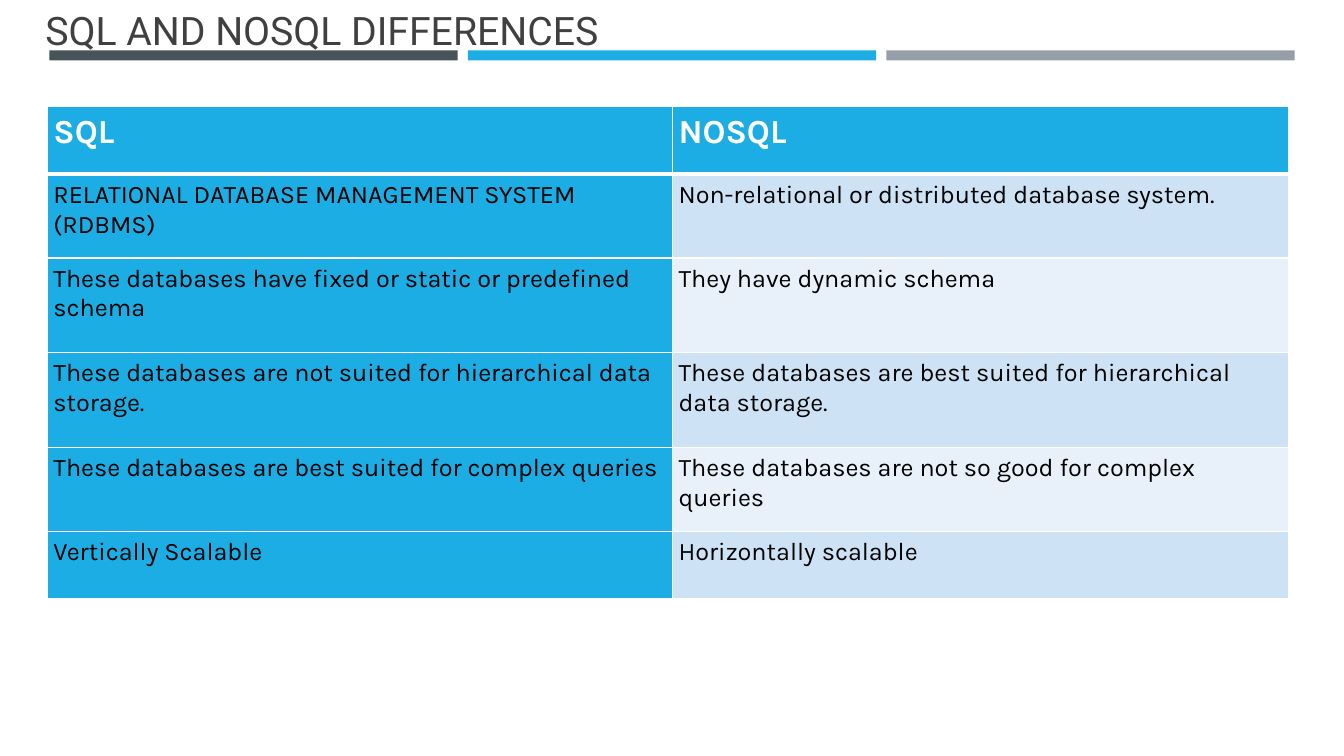
import dataclasses

import lxml.etree
import pptx
import pptx.dml.color
import pptx.enum.shapes
import pptx.enum.text
import pptx.oxml.ns
import pptx.util

Inches = pptx.util.Inches


@dataclasses.dataclass(frozen=True)
class Theme:
    title_font: str = "Roboto"
    table_font: str = "Karla"
    title_size: int = 28
    header_size: int = 24
    body_size: int = 18
    title_color: str = "404040"
    body_color: str = "000000"
    white: str = "FFFFFF"
    slate: str = "465359"
    blue: str = "1CADE4"
    gray: str = "969FA7"
    bands: tuple = ("E8F1FA", "CDE3F5")


THEME = Theme()

COMPARISON = [
    ("SQL", "NOSQL"),
    ("RELATIONAL DATABASE MANAGEMENT SYSTEM (RDBMS)",
     "Non-relational or distributed database system."),
    ("These databases have fixed or static or predefined schema",
     "They have dynamic schema"),
    ("These databases are not suited for hierarchical data storage.",
     "These databases are best suited for hierarchical data storage."),
    ("These databases are best suited for complex queries",
     "These databases are not so good for complex queries"),
    ("Vertically Scalable", "Horizontally scalable"),
]
COLUMN_WIDTHS = (6.2, 6.11)
ROW_HEIGHTS = (0.67, 0.83, 0.94, 0.94, 0.83, 0.67)


def rgb(color):
    return pptx.dml.color.RGBColor.from_string(color)


def style_font(font, name, size, color, bold=False):
    font.name = name
    font.size = pptx.util.Pt(size)
    font.color.rgb = rgb(color)
    font.bold = bold


def add_bars(page):
    """Three equal accent bars, evenly spaced across the top."""
    left, width, gap = 0.49, 4.05, 0.1
    for index, color in enumerate((THEME.slate, THEME.blue, THEME.gray)):
        bar = page.shapes.add_shape(
            pptx.enum.shapes.MSO_SHAPE.RECTANGLE,
            Inches(left + index * (width + gap)), Inches(0.5),
            Inches(width), Inches(0.1))
        bar.shadow.inherit = False
        bar.fill.solid()
        bar.fill.fore_color.rgb = rgb(color)
        bar.line.fill.background()


def fill_title(page, text):
    title = page.shapes.title
    title.left, title.top = Inches(0.35), Inches(-0.2)
    title.width, title.height = Inches(12.06), Inches(0.78)
    frame = title.text_frame
    frame.text = text
    frame.auto_size = pptx.enum.text.MSO_AUTO_SIZE.NONE
    frame.vertical_anchor = pptx.enum.text.MSO_ANCHOR.BOTTOM
    para = frame.paragraphs[0]
    para.alignment = pptx.enum.text.PP_ALIGN.LEFT
    style_font(para.font, THEME.title_font, THEME.title_size, THEME.title_color)


def add_borders(cell, top, bottom):
    """White cell borders; widths in points."""
    properties = cell._tc.get_or_add_tcPr()
    qn = pptx.oxml.ns.qn
    for side, points in (("L", 1), ("R", 1), ("T", top), ("B", bottom)):
        line = lxml.etree.SubElement(
            properties, qn(f"a:ln{side}"), w=str(pptx.util.Pt(points)))
        fill = lxml.etree.SubElement(line, qn("a:solidFill"))
        lxml.etree.SubElement(fill, qn("a:srgbClr"), val=THEME.white)


def fill_cell(cell, text, row, column):
    header = row == 0
    add_borders(cell, top=3 if row == 1 else 1, bottom=3 if header else 1)
    cell.fill.solid()
    cell.fill.fore_color.rgb = rgb(
        THEME.blue if header or column == 0 else THEME.bands[row % 2])
    cell.margin_left = cell.margin_right = Inches(0.06)
    cell.margin_top = cell.margin_bottom = Inches(0.06)
    cell.text = text
    style_font(cell.text_frame.paragraphs[0].font, THEME.table_font,
               THEME.header_size if header else THEME.body_size,
               THEME.white if header else THEME.body_color, header)


def add_comparison(page):
    table = page.shapes.add_table(
        len(ROW_HEIGHTS), len(COLUMN_WIDTHS), Inches(0.47), Inches(1.06),
        Inches(sum(COLUMN_WIDTHS)), Inches(sum(ROW_HEIGHTS))).table
    for column, width in zip(table.columns, COLUMN_WIDTHS):
        column.width = Inches(width)
    for row, height in zip(table.rows, ROW_HEIGHTS):
        row.height = Inches(height)
    for row, texts in enumerate(COMPARISON):
        for column, text in enumerate(texts):
            fill_cell(table.cell(row, column), text, row, column)


def main():
    deck = pptx.Presentation()
    deck.slide_width, deck.slide_height = Inches(13.33), Inches(7.5)
    # Title-only layout
    page = deck.slides.add_slide(deck.slide_layouts[5])
    add_bars(page)
    fill_title(page, "SQL AND NOSQL DIFFERENCES")
    add_comparison(page)
    deck.save("out.pptx")


if __name__ == "__main__":
    main()
